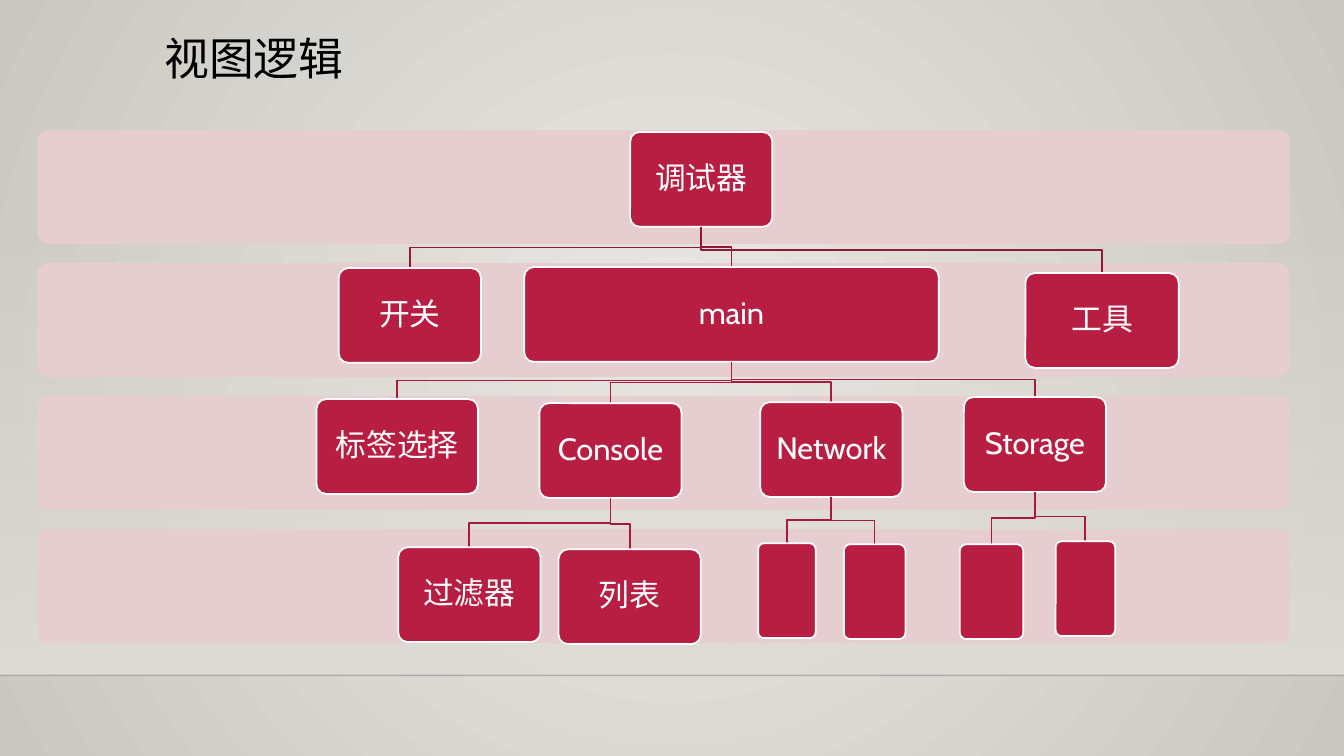
from dataclasses import dataclass

from lxml import etree
from pptx import Presentation
from pptx.dml.color import RGBColor
from pptx.enum.shapes import MSO_CONNECTOR, MSO_SHAPE
from pptx.enum.text import MSO_ANCHOR, PP_ALIGN
from pptx.oxml.ns import qn
from pptx.util import Pt

ROUNDED, RECTANGLE = MSO_SHAPE.ROUNDED_RECTANGLE, MSO_SHAPE.RECTANGLE
STRAIGHT = MSO_CONNECTOR.STRAIGHT
TOP, MIDDLE = MSO_ANCHOR.TOP, MSO_ANCHOR.MIDDLE
LEFT, CENTER = PP_ALIGN.LEFT, PP_ALIGN.CENTER

EMU_PER_PX = 9144  # 100 px to the inch
SLIDE_W, SLIDE_H = 1333, 750
FONT = "Cabin"
CRIMSON, WHITE, FLOOR = "B71E42", "FFFFFF", "DFDBD5"
BRANCH_COLORS = ("931835", "A61B3C")  # below the root, below the second level
NODE_H = 94
BAND_TOP, BAND_STEP, BAND_COUNT = 129, 132, 4


@dataclass(frozen=True)
class Node:
    label: str
    left: int
    top: int
    width: int = 141
    children: tuple["Node", ...] = ()

    @property
    def center(self) -> float:
        return self.left + self.width / 2


VIEW_TREE = Node("调试器", 625, 131, children=(
    Node("开关", 336, 266),
    Node("main", 520, 265, 411, (
        Node("标签选择", 314, 396, 160),
        Node("Console", 535, 400, children=(
            Node("过滤器", 395, 543),
            Node("列表", 554, 545),
        )),
        Node("Network", 754, 399, children=(
            Node("", 752, 539, 57),
            Node("", 837, 540, 61),
        )),
        Node("Storage", 956, 394, children=(
            Node("", 1047, 537, 59),
            Node("", 952, 540, 63),
        )),
    )),
    Node("工具", 1017, 271, 152),
))


def px(length: float) -> int:
    return round(length * EMU_PER_PX)


def rgb(color: str) -> RGBColor:
    return RGBColor.from_string(color)


def set_gradient(fill, start: str, end: str) -> None:
    fill.gradient()
    for stop, color in zip(fill.gradient_stops, (start, end)):
        stop.color.rgb = rgb(color)


def set_alpha(color_element, percent: int) -> None:
    etree.SubElement(color_element, qn("a:alpha"), val=str(percent * 1000))


def add_box(slide, preset, left: int, top: int, width: int, height: int):
    box = slide.shapes.add_shape(preset, px(left), px(top), px(width), px(height))
    box.shadow.inherit = False
    box.line.fill.background()
    if preset == ROUNDED:
        box.adjustments[0] = 0.1
    return box


def format_text(frame, text: str, size: int, color: str, align, anchor) -> None:
    frame.text = text
    frame.word_wrap = True
    frame.vertical_anchor = anchor
    paragraph = frame.paragraphs[0]
    paragraph.alignment = align
    paragraph.line_spacing = 0.9
    paragraph.font.name = FONT
    paragraph.font.size = Pt(size)
    paragraph.font.color.rgb = rgb(color)


def draw_backdrop(slide) -> None:
    # Radial background
    set_gradient(slide.background.fill, "ECEAE7", "CAC7C1")
    gradient = slide.element.find(".//" + qn("a:gradFill"))
    gradient.remove(gradient.find(qn("a:lin")))
    radial = etree.SubElement(gradient, qn("a:path"), {"path": "circle"})
    etree.SubElement(radial, qn("a:fillToRect"),
                     {side: "50000" for side in "ltrb"})

    # Floor fading in from the top, with its edge
    floor = add_box(slide, RECTANGLE, 0, 221, SLIDE_W, 449)
    set_gradient(floor.fill, FLOOR, FLOOR)
    floor.fill.gradient_angle = 270
    set_alpha(floor.element.find(".//" + qn("a:gs"))[0], 0)
    edge = slide.shapes.add_connector(STRAIGHT, 0, px(670), px(SLIDE_W), px(670))
    edge.line.width = Pt(1)
    edge.line.color.rgb = rgb("000001")
    set_alpha(edge.element.find(".//" + qn("a:srgbClr")), 20)
    etree.SubElement(edge.element.spPr, qn("a:effectLst"))


def draw_branch(slide, parent: Node, child: Node, color: str) -> None:
    start = parent.top + NODE_H
    bend = (start + child.top) / 2
    corners = ((parent.center, bend), (child.center, bend), (child.center, child.top))
    builder = slide.shapes.build_freeform(px(parent.center), px(start))
    builder.add_line_segments([(px(x), px(y)) for x, y in corners], close=False)
    branch = builder.convert_to_shape()
    branch.shadow.inherit = False
    branch.fill.background()
    branch.line.color.rgb = rgb(color)
    branch.line.width = Pt(1.25)


def draw_node(slide, node: Node, level: int = 0) -> None:
    box = add_box(slide, ROUNDED, node.left, node.top, node.width, NODE_H)
    box.fill.solid()
    box.fill.fore_color.rgb = rgb(CRIMSON)
    box.line.color.rgb = rgb(WHITE)
    box.line.width = Pt(1.25)
    if node.label:
        frame = box.text_frame
        frame.margin_left = frame.margin_right = px(12)
        format_text(frame, node.label, 22, WHITE, CENTER, MIDDLE)
    for child in node.children:
        draw_branch(slide, node, child, BRANCH_COLORS[min(level, 1)])
        draw_node(slide, child, level + 1)


def main() -> None:
    deck = Presentation()
    deck.slide_width, deck.slide_height = px(SLIDE_W), px(SLIDE_H)
    slide = deck.slides.add_slide(deck.slide_layouts[5])
    draw_backdrop(slide)

    # Title
    title = slide.shapes.title
    title.left, title.top, title.width, title.height = map(px, (153, 31, 251, 115))
    format_text(title.text_frame, "视图逻辑", 32, "000000", LEFT, TOP)

    # Level bands
    for level in range(BAND_COUNT):
        band = add_box(slide, ROUNDED, 37, BAND_TOP + level * BAND_STEP, 1242, 113)
        band.fill.solid()
        band.fill.fore_color.rgb = rgb("E6CDCF")

    # View hierarchy
    draw_node(slide, VIEW_TREE)
    deck.save("out.pptx")


if __name__ == "__main__":
    main()
